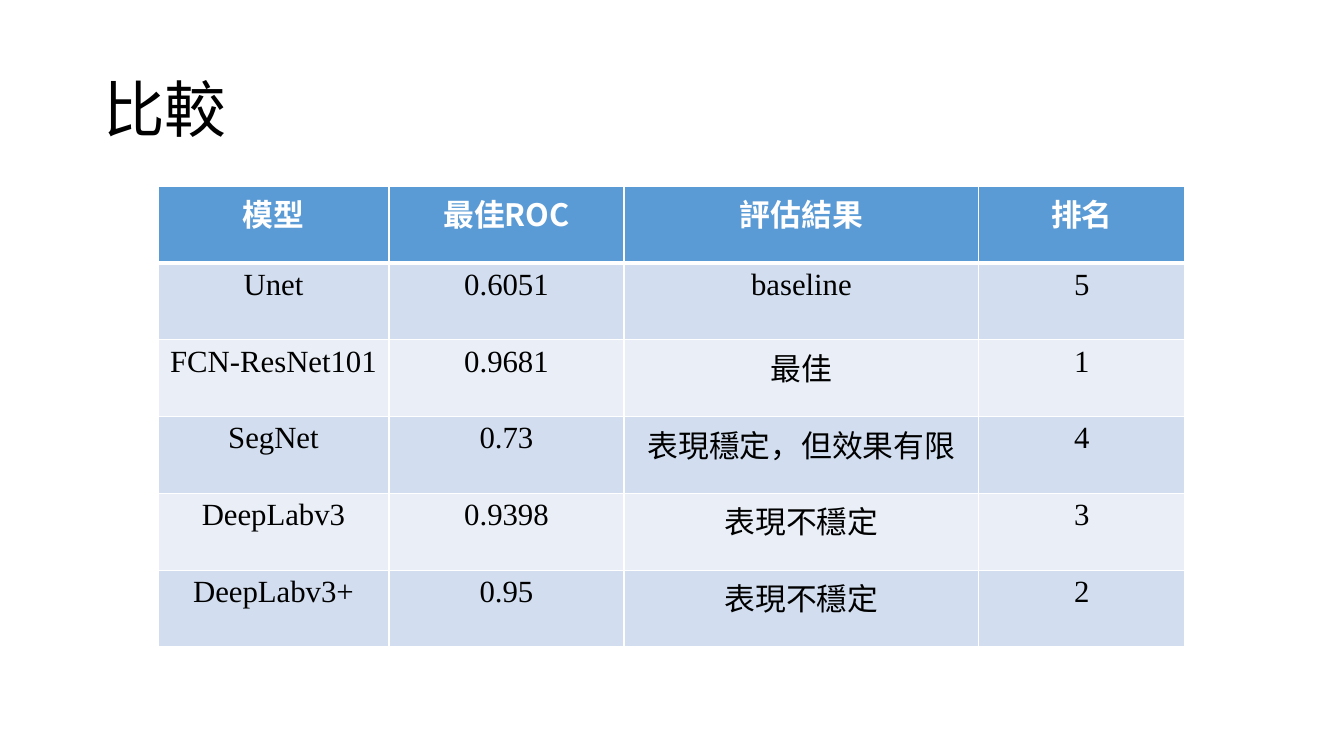
from dataclasses import dataclass

import pptx
import pptx.dml.color
import pptx.enum.text
import pptx.oxml
import pptx.oxml.ns
import pptx.util
import pptx.table
import pptx.text.text

SCALE = 12192000 / 1344
WHITE = pptx.dml.color.RGBColor(0xFF, 0xFF, 0xFF)
BLACK = pptx.dml.color.RGBColor(0x00, 0x00, 0x00)
BLUE = pptx.dml.color.RGBColor(0x5B, 0x9B, 0xD5)
BANDS = (
    pptx.dml.color.RGBColor(0xD2, 0xDE, 0xEF),
    pptx.dml.color.RGBColor(0xEA, 0xEF, 0xF7),
)
SANS = "Noto Sans CJK SC"
SERIF = "Times New Roman"
ALIGN = pptx.enum.text.PP_ALIGN


@dataclass(frozen=True)
class Model:
    name: str
    score: str
    result: str
    rank: str

    def texts(self) -> tuple[str, ...]:
        return self.name, self.score, self.result, self.rank


@dataclass(frozen=True)
class Style:
    size: int
    color: pptx.dml.color.RGBColor
    bold: bool
    align: ALIGN


HEAD = Model("模型", "最佳ROC", "評估結果", "排名")
MODELS = (
    Model("Unet", "0.6051", "baseline", "5"),
    Model("FCN-ResNet101", "0.9681", "最佳", "1"),
    Model("SegNet", "0.73", "表現穩定，但效果有限", "4"),
    Model("DeepLabv3", "0.9398", "表現不穩定", "3"),
    Model("DeepLabv3+", "0.95", "表現不穩定", "2"),
)
WIDTHS = (231, 235, 355, 206)
TITLE = Style(44, BLACK, False, ALIGN.LEFT)
HEADER = Style(22, WHITE, True, ALIGN.CENTER)
BODY = Style(22, BLACK, False, ALIGN.CENTER)


def px(count: int) -> pptx.util.Emu:
    return pptx.util.Emu(round(count * SCALE))


def write(frame: pptx.text.text.TextFrame, text: str, style: Style, face: str) -> None:
    frame.text = text
    para = frame.paragraphs[0]
    para.alignment = style.align
    font = para.font
    font.size = pptx.util.Pt(style.size)
    font.bold = style.bold
    font.color.rgb = style.color
    font.name = face
    props = para._p.pPr.find(pptx.oxml.ns.qn("a:defRPr"))
    props.append(pptx.oxml.parse_xml(
        f'<a:ea {pptx.oxml.ns.nsdecls("a")} typeface="{SANS}"/>'
    ))


def edge(cell: pptx.table._Cell, top: int, bottom: int) -> None:
    props = cell._tc.get_or_add_tcPr()
    for side, width in (("L", 1), ("R", 1), ("T", top), ("B", bottom)):
        props.append(pptx.oxml.parse_xml(
            f'<a:ln{side} {pptx.oxml.ns.nsdecls("a")} w="{pptx.util.Pt(width)}">'
            f'<a:solidFill><a:srgbClr val="{WHITE}"/></a:solidFill></a:ln{side}>'
        ))


def draw_table(slide: pptx.slide.Slide) -> None:
    rows = (HEAD, *MODELS)
    table = slide.shapes.add_table(
        len(rows), len(WIDTHS), px(158), px(186), px(sum(WIDTHS)), px(461)
    ).table
    for column, width in zip(table.columns, WIDTHS):
        column.width = px(width)
    for y, model in enumerate(rows):
        style = BODY if y else HEADER
        for x, text in enumerate(model.texts()):
            cell = table.cell(y, x)
            face = SERIF if y and text.isascii() else SANS
            write(cell.text_frame, text, style, face)
            edge(cell, 3 if y == 1 else 1, 1 if y else 3)
            cell.fill.solid()
            cell.fill.fore_color.rgb = BANDS[(y - 1) % 2] if y else BLUE


def draw_title(slide: pptx.slide.Slide) -> None:
    title = slide.shapes.title
    title.left, title.top = px(93), px(40)
    title.width, title.height = px(1159), px(146)
    frame = title.text_frame
    frame.vertical_anchor = pptx.enum.text.MSO_ANCHOR.MIDDLE
    write(frame, "比較", TITLE, SANS)
    frame.paragraphs[0].line_spacing = 0.9


def main() -> None:
    deck = pptx.Presentation()
    deck.slide_width, deck.slide_height = px(1344), px(756)
    slide = deck.slides.add_slide(deck.slide_layouts[5])
    draw_title(slide)
    draw_table(slide)
    deck.save("out.pptx")


if __name__ == "__main__":
    main()
